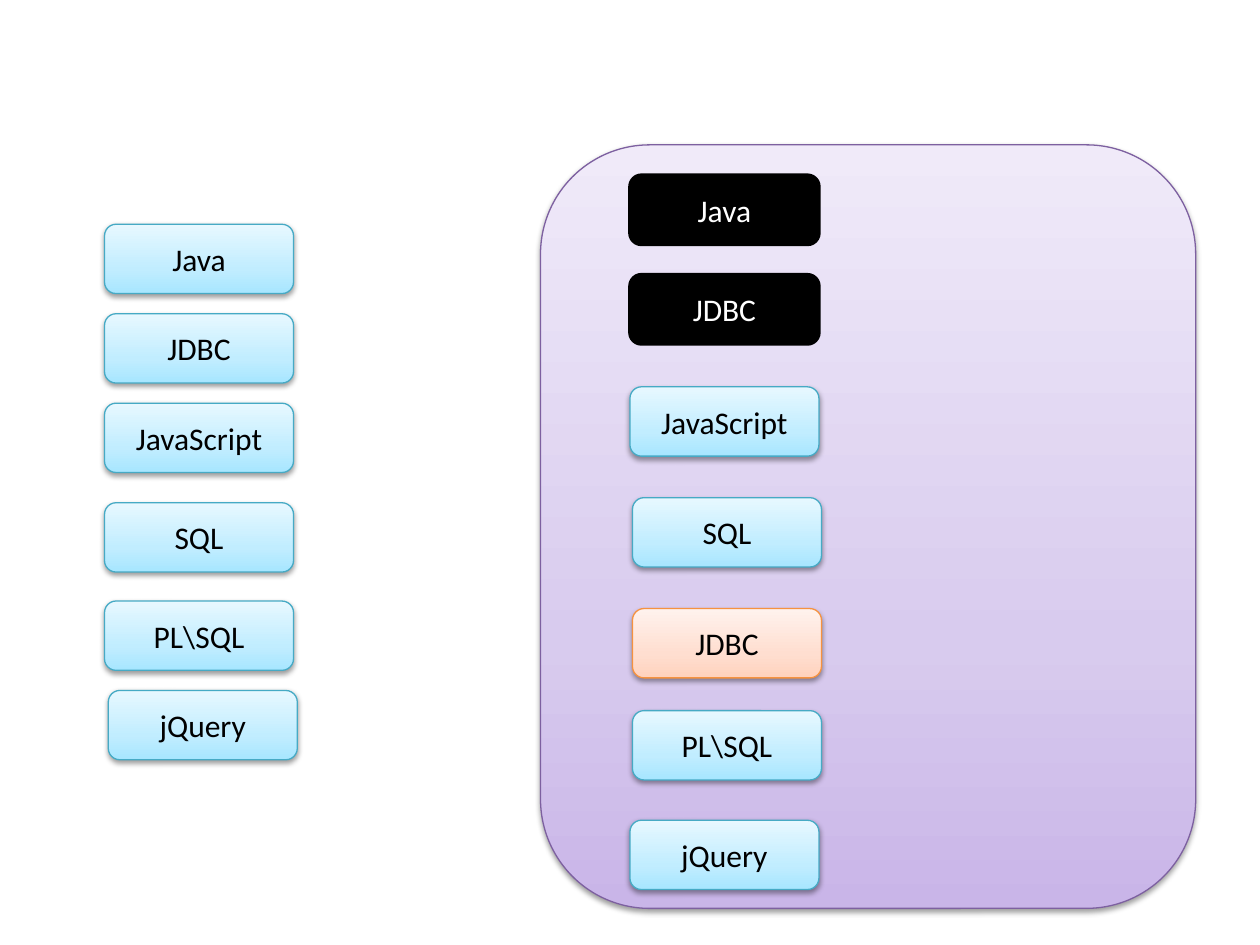
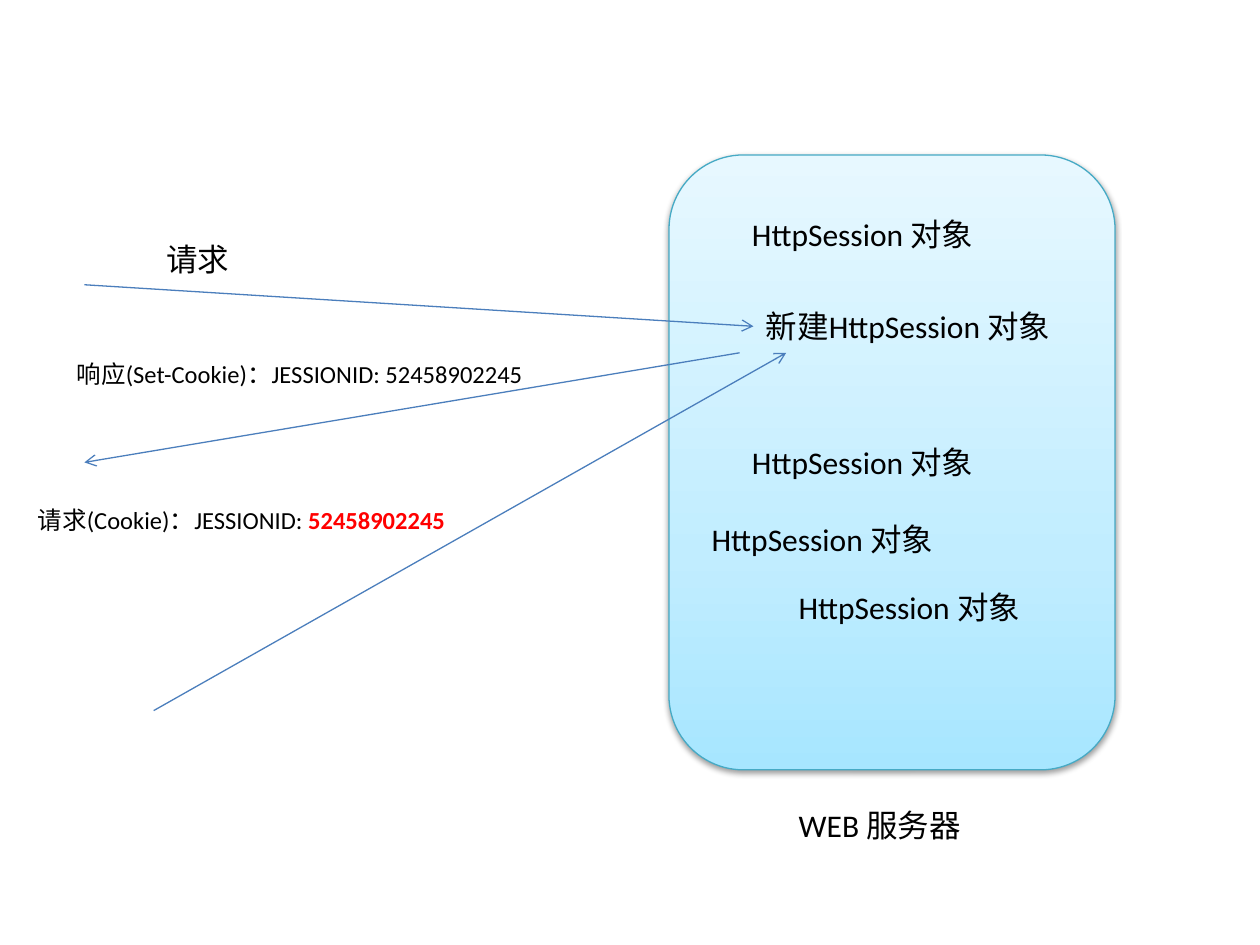
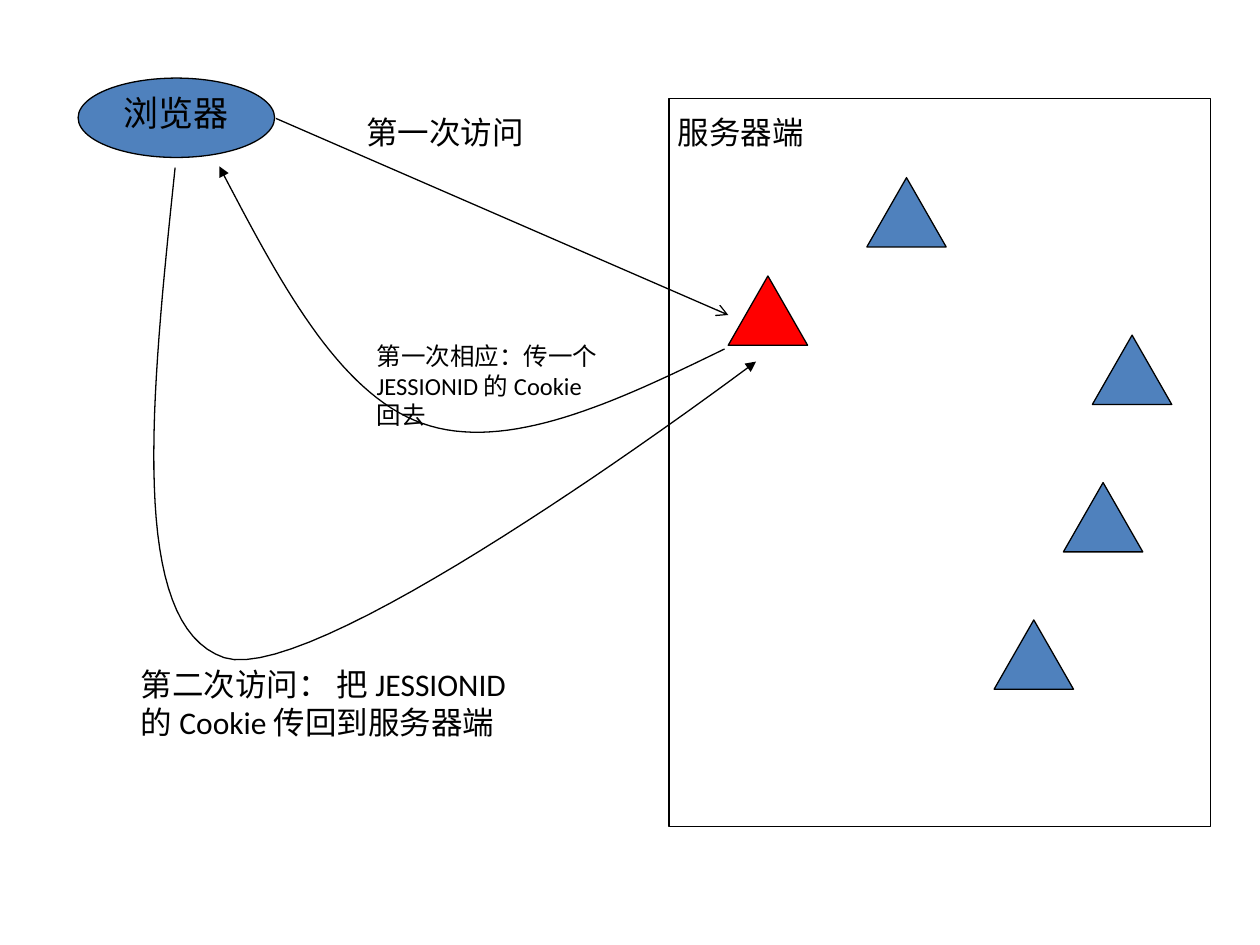
from copy import deepcopy

from lxml.etree import SubElement
from pptx import Presentation
from pptx.dml.color import RGBColor
from pptx.enum.shapes import MSO_CONNECTOR, MSO_SHAPE
from pptx.enum.text import MSO_ANCHOR, MSO_AUTO_SIZE, PP_ALIGN
from pptx.oxml.ns import qn
from pptx.util import Pt

PX = 9144  # 100 px to the inch
SLIDE_SIZE = (1000, 750)

COLORS = {
    "black": "000000", "white": "FFFFFF", "red": "FF0000",
    "blue": "4F81BD", "arrow blue": "4B7EBC",
    "aqua line": "46AAC5", "purple line": "7D60A0", "orange line": "F69240",
    "aqua 0": "A7E6FF", "aqua 35": "C1EDFF", "aqua 100": "E7F8FF",
    "purple 0": "C9B5E8", "purple 35": "D8CBEE", "purple 100": "F0EAF9",
    "orange 0": "FFD2BD", "orange 35": "FFDED0", "orange 100": "FFF2ED",
}
GRADIENT_STOPS = (0, 35, 100)

# Slide 1: skill tags as (text, left, top, theme)
TAG_SIZE = (150, 55)
SKILLS = [
    ("Java", 83, 178, "aqua"),
    ("JDBC", 83, 249, "aqua"),
    ("JavaScript", 83, 320, "aqua"),
    ("SQL", 83, 399, "aqua"),
    ("PL\\SQL", 83, 477, "aqua"),
    ("jQuery", 86, 548, "aqua"),
]
SKILL_PANEL = (429, 115, 520, 606)
PANEL_SKILLS = [
    ("Java", 500, 139, "black"),
    ("JDBC", 500, 218, "black"),
    ("JavaScript", 500, 307, "aqua"),
    ("SQL", 502, 395, "aqua"),
    ("JDBC", 502, 483, "orange"),
    ("PL\\SQL", 502, 564, "aqua"),
    ("jQuery", 500, 651, "aqua"),
]

# Slide 2: labels as (text, left, top, width)
WEB_SERVER = (531, 123, 354, 488)
SESSION = "HttpSession 对象"
SESSION_SPOTS = [(587, 166), (587, 347), (555, 408), (624, 462)]
SESSION_LABELS = [(SESSION, left, top, 220) for left, top in SESSION_SPOTS] + [
    ("WEB 服务器", 624, 635, 169),
    ("新建" + SESSION, 598, 239, 272),
    ("请求", 122, 186, 157),
]
SESSION_ID = "52458902245"
COOKIE_LABELS = [
    ([("响应(Set-Cookie)：JESSIONID: " + SESSION_ID, {})], 51, 280, 425),
    ([("请求(Cookie)：JESSIONID: ", {}),
      (SESSION_ID, {"color": "red", "bold": True})], 20, 396, 425),
]
MESSAGES = [
    ((67, 226), (598, 259)),
    ((587, 280), (67, 367)),
    ((122, 564), (624, 280)),
]

# Slide 3
SERVER_SIDE = (531, 78, 430, 578)
BROWSER = (62, 62, 156, 63)
FIRST_VISIT = ((219, 94), (578, 250))
TRIANGLE_SIZE = (63, 55)
SERVER_OBJECTS = [
    (688, 141, "blue"), (867, 266, "blue"), (844, 383, "blue"),
    (789, 492, "blue"), (578, 219, "red"),
]
VISIT_LABELS = [
    ("服务器端", 528, 85, 148, 18),
    ("第一次访问", 281, 85, 164, 18),
    ("第二次访问： 把 JESSIONID 的 Cookie 传回到服务器端", 102, 523, 313, 18),
    ("第一次相应：传一个 JESSIONID 的 Cookie 回去", 289, 266, 203, 14),
]
# Each curve: a start, then cubic segments of two controls and an end
FIRST_RESPONSE = [(575, 277), (489, 319), (402, 360), (335, 336),
                  (268, 312), (221, 222), (174, 132)]
SECOND_VISIT = [(139, 133), (120, 315), (101, 496), (178, 522),
                (255, 547), (600, 287), (600, 287)]
CURVE_STEPS = 32


def rgb(color):
    return RGBColor.from_string(COLORS[color])


def emu(lengths):
    return [round(length * PX) for length in lengths]


def add_run(paragraph, text, color="black", **formats):
    run = paragraph.add_run()
    run.text = text
    for name, value in {"name": "Calibri", "size": Pt(18), **formats}.items():
        setattr(run.font, name, value)
    run.font.color.rgb = rgb(color)


def set_line(shape, color, width=0.75, arrow=None):
    shape.line.color.rgb = rgb(color)
    shape.line.width = Pt(width)
    if arrow:
        outline = shape.element.spPr.find(qn("a:ln"))
        SubElement(outline, qn("a:tailEnd"), type=arrow)


def add_flat(slide, preset, box, fill=None, line_width=0.75):
    """Add a black-outlined shape without shadow; no fill unless named."""
    shape = slide.shapes.add_shape(preset, *emu(box))
    shape.shadow.inherit = False
    if fill:
        shape.fill.solid()
        shape.fill.fore_color.rgb = rgb(fill)
    else:
        shape.fill.background()
    set_line(shape, "black", line_width)
    return shape


def add_glossy(slide, box, theme):
    """Add a rounded box with a three-stop gradient and a soft shadow."""
    shape = slide.shapes.add_shape(MSO_SHAPE.ROUNDED_RECTANGLE, *emu(box))
    shape.fill.gradient()
    shape.fill.gradient_angle = 90
    properties = shape.element.spPr
    stop_list = next(properties.iter(qn("a:gsLst")))
    stop_list.append(deepcopy(stop_list[0]))
    for stop, percent in zip(shape.fill.gradient_stops, GRADIENT_STOPS):
        stop.color.rgb = rgb(f"{theme} {percent}")
        stop.position = percent / 100
    set_line(shape, f"{theme} line")
    shape.shadow.inherit = False
    shadow = SubElement(properties.find(qn("a:effectLst")), qn("a:outerShdw"),
                        blurRad="40000", dist="20000", dir="5400000", rotWithShape="0")
    shade = SubElement(shadow, qn("a:srgbClr"), val=COLORS["black"])
    SubElement(shade, qn("a:alpha"), val="38000")
    return shape


def add_tag(slide, text, left, top, theme):
    box = (left, top, *TAG_SIZE)
    if theme == "black":
        tag = add_flat(slide, MSO_SHAPE.ROUNDED_RECTANGLE, box, "black", 2)
    else:
        tag = add_glossy(slide, box, theme)
    tag.text_frame.vertical_anchor = MSO_ANCHOR.MIDDLE
    paragraph = tag.text_frame.paragraphs[0]
    paragraph.alignment = PP_ALIGN.CENTER
    add_run(paragraph, text, "white" if theme == "black" else "black")


def add_label(slide, runs, left, top, width, size=18):
    height = 40 if size == 18 else 34
    frame = slide.shapes.add_textbox(*emu((left, top, width, height))).text_frame
    frame.word_wrap = True
    frame.auto_size = MSO_AUTO_SIZE.SHAPE_TO_FIT_TEXT
    for text, formats in [(runs, {})] if isinstance(runs, str) else runs:
        add_run(frame.paragraphs[0], text, size=Pt(size), **formats)


def add_arrow(slide, start, end, color):
    arrow = slide.shapes.add_connector(MSO_CONNECTOR.STRAIGHT, *emu(start + end))
    set_line(arrow, color, arrow="arrow")
    SubElement(arrow.element.spPr, qn("a:effectLst"))


def bezier_points(nodes):
    """Return points along the cubic segments that follow the first node."""
    points = []
    for first in range(0, len(nodes) - 1, 3):
        segment = nodes[first:first + 4]
        for step in range(1, CURVE_STEPS + 1):
            t = step / CURVE_STEPS
            weights = ((1 - t) ** 3, 3 * t * (1 - t) ** 2, 3 * t * t * (1 - t), t ** 3)
            points.append([sum(w * node[axis] for w, node in zip(weights, segment))
                           for axis in (0, 1)])
    return points


def add_curve(slide, nodes):
    builder = slide.shapes.build_freeform(*emu(nodes[0]))
    builder.add_line_segments([emu(point) for point in bezier_points(nodes)], close=False)
    curve = builder.convert_to_shape()
    curve.shadow.inherit = False
    curve.fill.background()
    set_line(curve, "black", arrow="triangle")


def build_skills(slide):
    for skill in SKILLS:
        add_tag(slide, *skill)
    add_glossy(slide, SKILL_PANEL, "purple")
    for skill in PANEL_SKILLS:
        add_tag(slide, *skill)


def build_session(slide):
    add_glossy(slide, WEB_SERVER, "aqua")
    for label in SESSION_LABELS:
        add_label(slide, *label)
    for label in COOKIE_LABELS:
        add_label(slide, *label, size=14)
    for start, end in MESSAGES:
        add_arrow(slide, start, end, "arrow blue")


def build_visits(slide):
    add_flat(slide, MSO_SHAPE.RECTANGLE, SERVER_SIDE)
    browser = add_flat(slide, MSO_SHAPE.OVAL, BROWSER, "blue")
    browser.text_frame.vertical_anchor = MSO_ANCHOR.TOP
    paragraph = browser.text_frame.paragraphs[0]
    browser_format = {"alignment": PP_ALIGN.CENTER, "line_spacing": 0.9,
                      "space_before": Pt(4)}
    for name, value in browser_format.items():
        setattr(paragraph, name, value)
    add_run(paragraph, "浏览器", name="Arial", size=Pt(20))
    add_arrow(slide, *FIRST_VISIT, "black")
    for left, top, fill in SERVER_OBJECTS:
        add_flat(slide, MSO_SHAPE.ISOSCELES_TRIANGLE, (left, top, *TRIANGLE_SIZE), fill)
    for label in VISIT_LABELS:
        add_label(slide, *label)
    for nodes in (FIRST_RESPONSE, SECOND_VISIT):
        add_curve(slide, nodes)


def main():
    deck = Presentation()
    deck.slide_width, deck.slide_height = emu(SLIDE_SIZE)
    for build in (build_skills, build_session, build_visits):
        build(deck.slides.add_slide(deck.slide_layouts[6]))
    deck.save("out.pptx")


if __name__ == "__main__":
    main()
